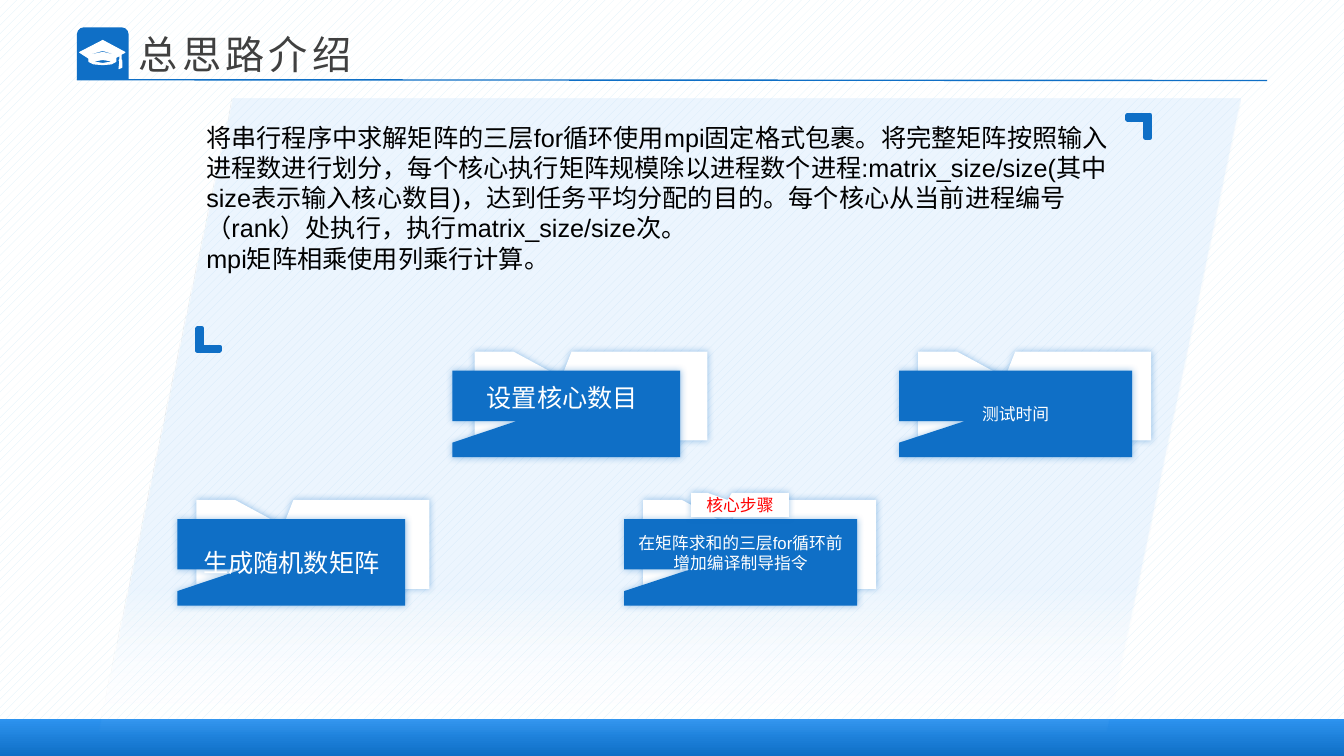
from lxml.etree import SubElement
from pptx import Presentation
from pptx.dml.color import RGBColor
from pptx.enum.dml import MSO_PATTERN
from pptx.enum.shapes import MSO_CONNECTOR, MSO_SHAPE
from pptx.enum.text import MSO_ANCHOR, PP_ALIGN
from pptx.oxml.ns import qn
from pptx.util import Cm, Pt

BLUE, WHITE = "0F6FC6", "FFFFFF"
WIDTH, HEIGHT = 33.87, 19.05
CARD_WIDTH = 5.87
WHITE_FLAP, BLUE_FLAP = (-0.127, -0.208), (-0.217, 0.083)
CAP_CONTOURS = [
    [(305, 150), (305, 137), (315, 132), (259, 102), (201, 132), (224, 147),
     (224, 155), (236, 161), (259, 163), (281, 161), (292, 155), (292, 145),
     (302, 140), (302, 150), (300, 152), (302, 155), (307, 152)],
    [(259, 160), (229, 155), (259, 150), (290, 155)],
    [(292, 140), (259, 132), (224, 140), (224, 137), (259, 127), (292, 137)],
    [(302, 155), (300, 173), (307, 170), (307, 155)],
]
BODY = [
    "将串行程序中求解矩阵的三层for循环使用mpi固定格式包裹。将完整矩阵按照输入进程数进行划分，"
    "每个核心执行矩阵规模除以进程数个进程:matrix_size/size(其中size表示输入核心数目)，"
    "达到任务平均分配的目的。每个核心从当前进程编号（rank）处执行，执行matrix_size/size次。",
    "mpi矩阵相乘使用列乘行计算。",
]


def color(value):
    """Turn a hex string into a colour."""
    return RGBColor.from_string(value)


def paint(shape, fill, line=None, line_width=1):
    """Give a shape a solid fill and an optional outline, without shadow."""
    shape.shadow.inherit = False
    shape.fill.solid()
    shape.fill.fore_color.rgb = color(fill)
    if line:
        shape.line.color.rgb = color(line)
        shape.line.width = Pt(line_width)
    else:
        shape.line.fill.background()


def add_preset(slide, preset, box, fill, adjustments=(), line=None, line_width=1):
    """Add a preset shape in a box of left, top, width and height in cm."""
    shape = slide.shapes.add_shape(preset, *map(Cm, box))
    for index, value in enumerate(adjustments):
        shape.adjustments[index] = value
    paint(shape, fill, line, line_width)
    return shape


def fill_gradient(shape, angle, stops):
    """Fill a shape with two stops of position, colour and opacity."""
    shape.fill.gradient()
    shape.fill.gradient_angle = angle
    for stop, (position, value, opacity) in zip(shape.fill.gradient_stops, stops):
        stop.position = position
        stop.color.rgb = color(value)
    for element, (_, _, opacity) in zip(shape._element.iter(qn("a:srgbClr")), stops):
        SubElement(element, qn("a:alpha"), val=str(opacity * 1000))


def add_glow_shadow(shape):
    """Give a shape a soft blue shadow on all sides."""
    effects = shape._element.spPr.find(qn("a:effectLst"))
    shadow = SubElement(effects, qn("a:outerShdw"), blurRad=str(Pt(5)), dist="0",
                        algn="ctr", rotWithShape="0")
    value = SubElement(shadow, qn("a:srgbClr"), val=BLUE)
    SubElement(value, qn("a:alpha"), val="40000")


def write(shape, lines, size, value, align=PP_ALIGN.LEFT, anchor=MSO_ANCHOR.TOP, spacing=0):
    """Write one paragraph per line into a shape."""
    frame = shape.text_frame
    frame.word_wrap = True
    frame.vertical_anchor = anchor
    for index, line in enumerate(lines):
        paragraph = frame.add_paragraph() if index else frame.paragraphs[0]
        paragraph.alignment = align
        run = paragraph.add_run()
        run.text = line
        run.font.size = Pt(size)
        run.font.name = "Arial"
        run.font.color.rgb = color(value)
        if spacing:
            run.font._element.set("spc", str(spacing * 100))


def add_text(slide, box, lines, size, value, **options):
    """Add a text box."""
    write(slide.shapes.add_textbox(*map(Cm, box)), lines, size, value, **options)


def add_flap(slide, box, fill, flap):
    """Add a callout rectangle with a notch and a soft shadow."""
    shape = add_preset(slide, MSO_SHAPE.RECTANGULAR_CALLOUT, box, fill, flap)
    add_glow_shadow(shape)
    return shape


def add_card(slide, left, top, shift=0.48, width=CARD_WIDTH):
    """Add a white card with a blue card in front and return the blue one."""
    add_flap(slide, (left, top, CARD_WIDTH, 2.24), WHITE, WHITE_FLAP)
    return add_flap(slide, (left - shift, top + 0.48, width, 2.18), BLUE, BLUE_FLAP)


def write_label(shape, text, size, value=WHITE):
    """Centre a label in a shape."""
    write(shape, [text], size, value, align=PP_ALIGN.CENTER, anchor=MSO_ANCHOR.MIDDLE)


def add_corner(slide, left, top, rotation, line_width):
    """Add an L-shaped corner mark through its preset name."""
    shape = add_preset(slide, MSO_SHAPE.RECTANGLE, (left, top, 0.56, 0.56), BLUE,
                       line=BLUE, line_width=line_width)
    shape.rotation = rotation
    geometry = shape._element.spPr.find(qn("a:prstGeom"))
    geometry.set("prst", "corner")
    for name, value in (("adj1", 18200), ("adj2", 20700)):
        SubElement(geometry.find(qn("a:avLst")), qn("a:gd"), name=name, fmla=f"val {value}")


def add_cap(slide):
    """Draw the graduation cap."""
    first, *others = CAP_CONTOURS
    builder = slide.shapes.build_freeform(*first[0], scale=Cm(0.01))
    builder.add_line_segments(first[1:], close=True)
    for contour in others:
        builder.move_to(*contour[0])
        builder.add_line_segments(contour[1:], close=True)
    paint(builder.convert_to_shape(), WHITE, WHITE, 0.75)


def add_frame(slide):
    """Add the background, the footer bar, the badge and the title rule."""
    background = add_preset(slide, MSO_SHAPE.RECTANGLE, (0, 0, WIDTH, HEIGHT), WHITE)
    background.fill.patterned()
    background.fill.pattern = MSO_PATTERN.PERCENT_20
    background.fill.fore_color.rgb = color("DBEFF9")
    background.fill.back_color.rgb = color(WHITE)
    add_preset(slide, MSO_SHAPE.ROUND_2_SAME_RECTANGLE, (1.94, 0.69, 1.3, 1.32), BLUE, (0.13, 0))
    footer = add_preset(slide, MSO_SHAPE.RECTANGLE, (0, 18.11, WIDTH, 0.94), BLUE)
    fill_gradient(footer, 90, [(0, BLUE, 100), (1, "2D93EF", 100)])
    add_cap(slide)
    rule = slide.shapes.add_connector(MSO_CONNECTOR.STRAIGHT, Cm(1.94), Cm(2.01), Cm(31.93), Cm(2.03))
    rule.line.color.rgb = color(BLUE)
    rule.line.width = Pt(1)
    SubElement(rule._element.spPr, qn("a:effectLst"))


def add_steps(slide):
    """Add the four step cards and the tag of the core step."""
    upper, lower = 8.86, 12.6
    write_label(add_card(slide, 4.95, lower, width=5.74), "生成随机数矩阵", 18)
    add_card(slide, 11.96, upper, shift=0.56, width=5.74)
    add_text(slide, (11.58, 9.5, 5.18, 1.02), ["设置核心数目"], 18, WHITE, align=PP_ALIGN.CENTER)
    core = add_card(slide, 16.21, lower)
    core.text_frame.margin_bottom = Cm(0.62)
    write_label(core, "在矩阵求和的三层for循环前增加编译制导指令", 12)
    write_label(add_card(slide, 23.14, upper), "测试时间", 12)
    tag = add_flap(slide, (17.42, 12.42, 2.46, 0.61), WHITE, WHITE_FLAP)
    write_label(tag, "核心步骤", 12, "FF0000")


def main():
    """Build the slide and save it."""
    presentation = Presentation()
    presentation.slide_width, presentation.slide_height = Cm(WIDTH), Cm(HEIGHT)
    slide = presentation.slides.add_slide(presentation.slide_layouts[6])
    add_frame(slide)
    panel = add_preset(slide, MSO_SHAPE.PARALLELOGRAM, (2.49, 2.49, 28.78, 16), WHITE, (0.212,))
    fill_gradient(panel, 270, [(0.77, "C5E1FB", 33), (1, WHITE, 0)])
    add_text(slide, (3.25, 0.64, 18.54, 2.54), ["总思路介绍"], 28, "404040", spacing=3)
    add_corner(slide, 4.98, 8.28, 0, 3)
    add_corner(slide, 28.42, 2.9, 180, 3.5)
    add_steps(slide)
    add_text(slide, (4.95, 2.95, 23.55, 4.11), BODY, 18, "000000")
    presentation.save("out.pptx")


if __name__ == "__main__":
    main()
